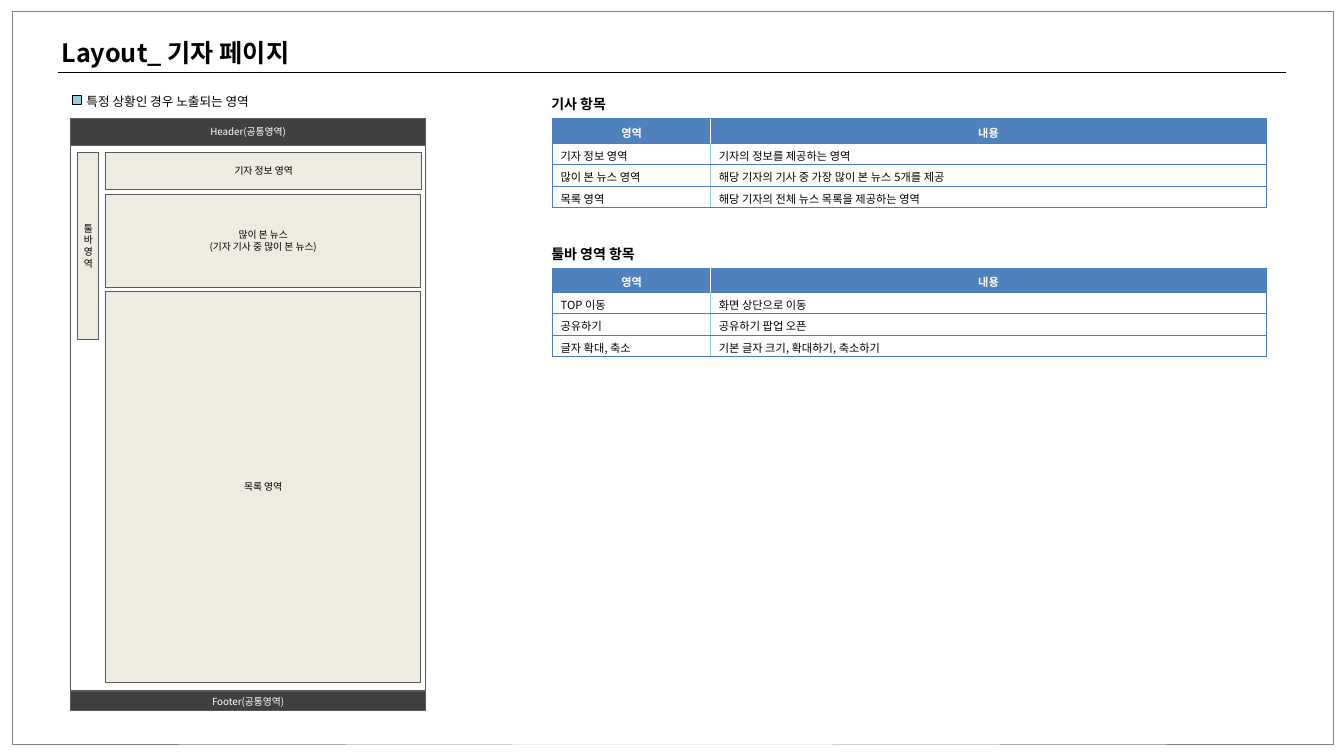
import pptx
import pptx.util
import pptx.dml.color
import pptx.enum.shapes
import pptx.enum.text
import pptx.oxml
from pptx.oxml.ns import qn

Inches, Pt = pptx.util.Inches, pptx.util.Pt
RGBColor = pptx.dml.color.RGBColor
RECT = pptx.enum.shapes.MSO_SHAPE.RECTANGLE
MIDDLE = pptx.enum.text.MSO_ANCHOR.MIDDLE
LEFT, CENTER = pptx.enum.text.PP_ALIGN.LEFT, pptx.enum.text.PP_ALIGN.CENTER

FONT = "Noto Sans CJK KR"
BLACK = RGBColor(0x00, 0x00, 0x00)
WHITE = RGBColor(0xFF, 0xFF, 0xFF)
FRAME_GRAY = RGBColor(0x80, 0x80, 0x80)
EDGE = RGBColor(0x59, 0x59, 0x59)
DARK = RGBColor(0x40, 0x40, 0x40)
CREAM = RGBColor(0xEE, 0xEC, 0xE1)
AQUA = RGBColor(0x93, 0xCD, 0xDD)
HEAD_BLUE = RGBColor(0x4F, 0x81, 0xBD)
GRID_BLUE = RGBColor(0x4B, 0x7E, 0xBC)


def write(tf, text, size, color=BLACK, bold=False, align=LEFT):
    """Fill a text frame, one paragraph per line, in Latin and Korean font."""
    tf.text = text
    for p in tf.paragraphs:
        p.alignment = align
        p.font.size, p.font.bold, p.font.name = Pt(size), bold, FONT
        p.font.color.rgb = color
        ea = pptx.oxml.parse_xml(
            '<a:ea xmlns:a="http://schemas.openxmlformats.org/drawingml/2006/main"'
            f' typeface="{FONT}"/>')
        p._p.pPr.find(qn("a:defRPr")).append(ea)


def add_box(x, y, w, h, fill, edge, weight=0.75):
    sp = s.shapes.add_shape(RECT, Inches(x), Inches(y), Inches(w), Inches(h))
    sp.shadow.inherit = False
    if fill is None:
        sp.fill.background()
    else:
        sp.fill.solid()
        sp.fill.fore_color.rgb = fill
    sp.line.color.rgb, sp.line.width = edge, Pt(weight)
    return sp


prs = pptx.Presentation()
prs.slide_width, prs.slide_height = Inches(13.33), Inches(7.5)
s = prs.slides.add_slide(prs.slide_layouts[5])

# Page frame and title
add_box(0.12, 0.11, 13.1, 7.27, None, FRAME_GRAY, 0.25)
rule = s.shapes.add_connector(pptx.enum.shapes.MSO_CONNECTOR.STRAIGHT,
                              Inches(0.58), Inches(0.72), Inches(12.75), Inches(0.72))
rule.line.color.rgb, rule.line.width = BLACK, Pt(1)
rule._element.spPr.append(rule._element.makeelement(qn("a:effectLst")))

title = s.shapes.title
title.left, title.top, title.width, title.height = map(Inches, (0.51, 0.32, 2.64, 0.4))
write(title.text_frame, "Layout_ 기자 페이지", 18, bold=True)
title.text_frame.word_wrap = False
title.text_frame.auto_size = pptx.enum.text.MSO_AUTO_SIZE.NONE
title.text_frame.vertical_anchor = pptx.enum.text.MSO_ANCHOR.TOP

# Page wireframe
PANEL_X, PANEL_Y, PANEL_W = 0.7, 1.18, 3.52
BODY_X, BODY_Y, BODY_W = 1.05, 1.51, 3.12
add_box(PANEL_X, PANEL_Y, PANEL_W, 5.67, WHITE, EDGE)
areas = [
    ("Header(공통영역)", PANEL_X, PANEL_Y, PANEL_W, 0.26, DARK, WHITE),
    ("기자 정보 영역", BODY_X, BODY_Y, BODY_W + 0.01, 0.37, CREAM, BLACK),
    ("많이 본 뉴스\n(기자 기사 중 많이 본 뉴스)", BODY_X, 1.93, BODY_W, 0.92, CREAM, BLACK),
    ("목록 영역", BODY_X, 2.89, BODY_W, 3.88, CREAM, BLACK),
    ("\n".join("툴바영역"), 0.77, BODY_Y, 0.21, 1.86, CREAM, BLACK),
    ("Footer(공통영역)", PANEL_X, 6.86, PANEL_W, 0.19, DARK, WHITE),
]
for text, x, y, w, h, fill, color in areas:
    tf = add_box(x, y, w, h, fill, EDGE).text_frame
    tf.margin_left = tf.margin_right = tf.margin_top = tf.margin_bottom = 0
    tf.vertical_anchor, tf.word_wrap = MIDDLE, False
    write(tf, text, 7, color, align=CENTER)

# Legend and table captions
add_box(0.72, 0.95, 0.09, 0.09, AQUA, BLACK)
labels = [
    ("특정 상황인 경우 노출되는 영역", 0.76, 0.81, 1.93, 0.3, 9, False, 1.5),
    ("기사 항목", 5.37, 0.9, 0.77, 0.27, 10, True, 1.0),
    ("툴바 영역 항목", 5.37, 2.39, 1.07, 0.27, 10, True, 1.0),
]
for text, x, y, w, h, size, bold, spacing in labels:
    tf = s.shapes.add_textbox(Inches(x), Inches(y), Inches(w), Inches(h)).text_frame
    tf.word_wrap = False
    write(tf, text, size, bold=bold)
    tf.paragraphs[0].line_spacing = spacing

# Tables
HEADINGS = ("영역", "내용")
COLS = (1.57, 5.51)
ROWS = (0.24, 0.21, 0.21, 0.21)
tables = [
    (1.18, [HEADINGS,
            ("기자 정보 영역", "기자의 정보를 제공하는 영역"),
            ("많이 본 뉴스 영역", "해당 기자의 기사 중 가장 많이 본 뉴스 5개를 제공"),
            ("목록 영역", "해당 기자의 전체 뉴스 목록을 제공하는 영역")]),
    (2.66, [HEADINGS,
            ("TOP 이동", "화면 상단으로 이동"),
            ("공유하기", "공유하기 팝업 오픈"),
            ("글자 확대, 축소", "기본 글자 크기, 확대하기, 축소하기")]),
]
for top, rows in tables:
    table = s.shapes.add_table(len(ROWS), len(COLS), Inches(5.48), Inches(top),
                               Inches(sum(COLS)), Inches(sum(ROWS))).table
    for column, width in zip(table.columns, COLS):
        column.width = Inches(width)
    for i, row in enumerate(rows):
        table.rows[i].height = Inches(ROWS[i])
        head = i == 0
        for j, text in enumerate(row):
            cell = table.cell(i, j)
            cell.margin_left = cell.margin_right = Inches(0.08)
            cell.margin_top = cell.margin_bottom = Inches(0.05 if head else 0.04)
            cell.fill.solid()
            cell.fill.fore_color.rgb = HEAD_BLUE if head else WHITE
            write(cell.text_frame, text, 8, WHITE if head else BLACK, head,
                  CENTER if head else LEFT)
            outer, inner = (GRID_BLUE, 0.75), (WHITE if head else AQUA, 1)
            borders = {"lnL": inner if j else outer, "lnR": outer if j else inner,
                       "lnT": outer, "lnB": outer}
            for k, (side, (color, weight)) in enumerate(borders.items()):
                cell._tc.tcPr.insert(k, pptx.oxml.parse_xml(
                    f'<a:{side} xmlns:a="http://schemas.openxmlformats.org/drawingml/2006/main"'
                    f' w="{Pt(weight)}"><a:solidFill><a:srgbClr val="{color}"/>'
                    f'</a:solidFill></a:{side}>'))

prs.save("out.pptx")
